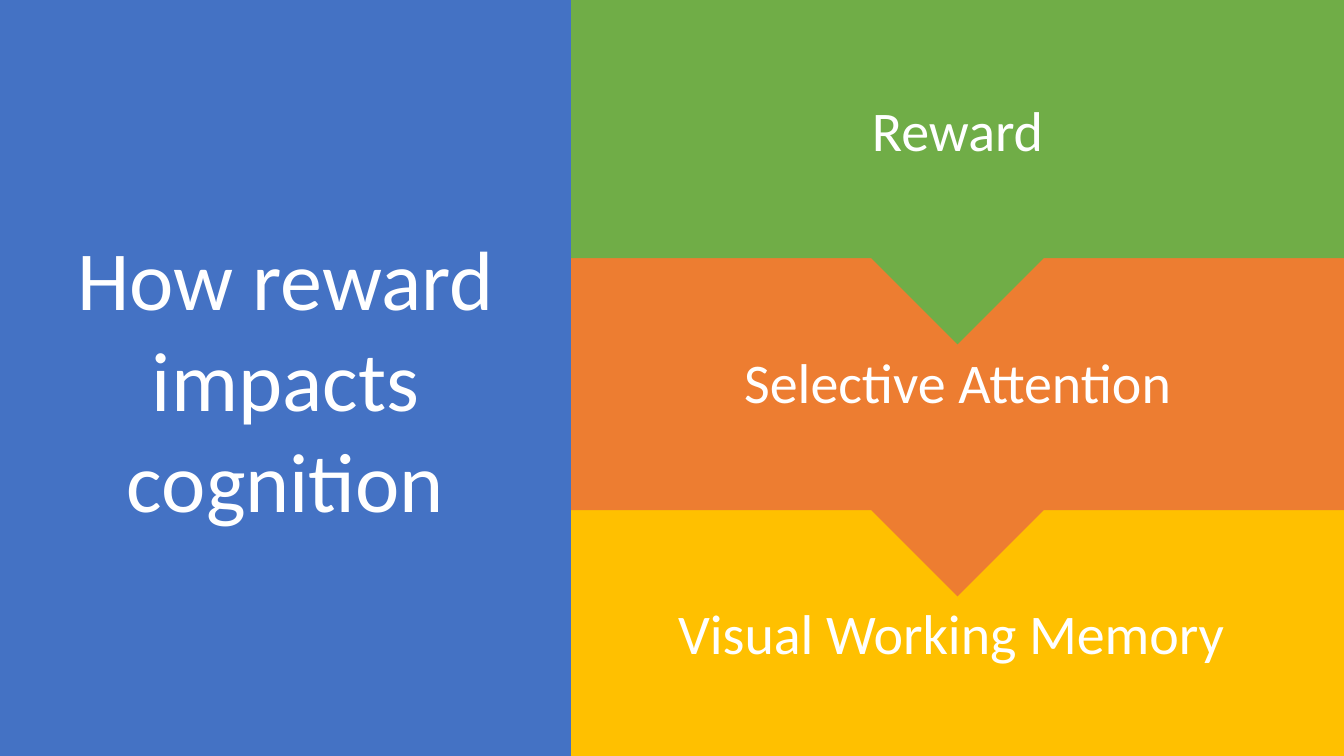
from pptx import Presentation
from pptx.dml.color import RGBColor
from pptx.enum.shapes import MSO_SHAPE as Preset
from pptx.enum.text import MSO_ANCHOR as Anchor, MSO_AUTO_SIZE as AutoSize, PP_ALIGN as Align
from pptx.util import Pt

WHITE = RGBColor(0xFF, 0xFF, 0xFF)
BLUE = RGBColor(0x44, 0x72, 0xC4)
GREEN = RGBColor(0x70, 0xAD, 0x47)
ORANGE = RGBColor(0xED, 0x7D, 0x31)
GOLD = RGBColor(0xFF, 0xC0, 0x00)

SLIDE_WIDTH, SLIDE_HEIGHT = 960, 540
TITLE_WIDTH = 408
STAGE_WIDTH = SLIDE_WIDTH - TITLE_WIDTH
CALLOUT_ADJUSTMENTS = (0.5, 0.25, 0.25, 0.75)


def fill_panel(shape, color):
    shape.fill.solid()
    shape.fill.fore_color.rgb = color
    shape.line.fill.background()


def write_text(shape, text, size):
    frame = shape.text_frame
    frame.word_wrap = True
    frame.auto_size = AutoSize.NONE
    frame.vertical_anchor = Anchor.MIDDLE
    paragraph = frame.paragraphs[0]
    paragraph.alignment = Align.CENTER
    paragraph.line_spacing = 1.0
    run = paragraph.add_run()
    run.text = text
    run.font.name = "Calibri"
    run.font.size = Pt(size)
    run.font.color.rgb = WHITE


def add_title_panel(slide, text):
    title = slide.shapes.title
    title.left, title.top = Pt(0), Pt(0)
    title.width, title.height = Pt(TITLE_WIDTH), Pt(SLIDE_HEIGHT)
    fill_panel(title, BLUE)
    write_text(title, text, 60)


def add_stage(slide, preset, top, height, color, text):
    stage = slide.shapes.add_shape(
        preset, Pt(TITLE_WIDTH), Pt(top), Pt(STAGE_WIDTH), Pt(height)
    )
    stage.shadow.inherit = False
    fill_panel(stage, color)
    write_text(stage, text, 40)
    return stage


def add_callout_stage(slide, top, color, text):
    callout = add_stage(slide, Preset.DOWN_ARROW_CALLOUT, top, 246, color, text)
    for index, value in enumerate(CALLOUT_ADJUSTMENTS):
        callout.adjustments[index] = value


def main():
    presentation = Presentation()
    presentation.slide_width = Pt(SLIDE_WIDTH)
    presentation.slide_height = Pt(SLIDE_HEIGHT)
    slide = presentation.slides.add_slide(presentation.slide_layouts[5])
    add_title_panel(slide, "How reward impacts cognition")
    add_stage(slide, Preset.RECTANGLE, 363, 177, GOLD, "Visual Working Memory ")
    add_callout_stage(slide, 180, ORANGE, "Selective Attention")
    add_callout_stage(slide, 0, GREEN, "Reward")
    presentation.save("out.pptx")


if __name__ == "__main__":
    main()
